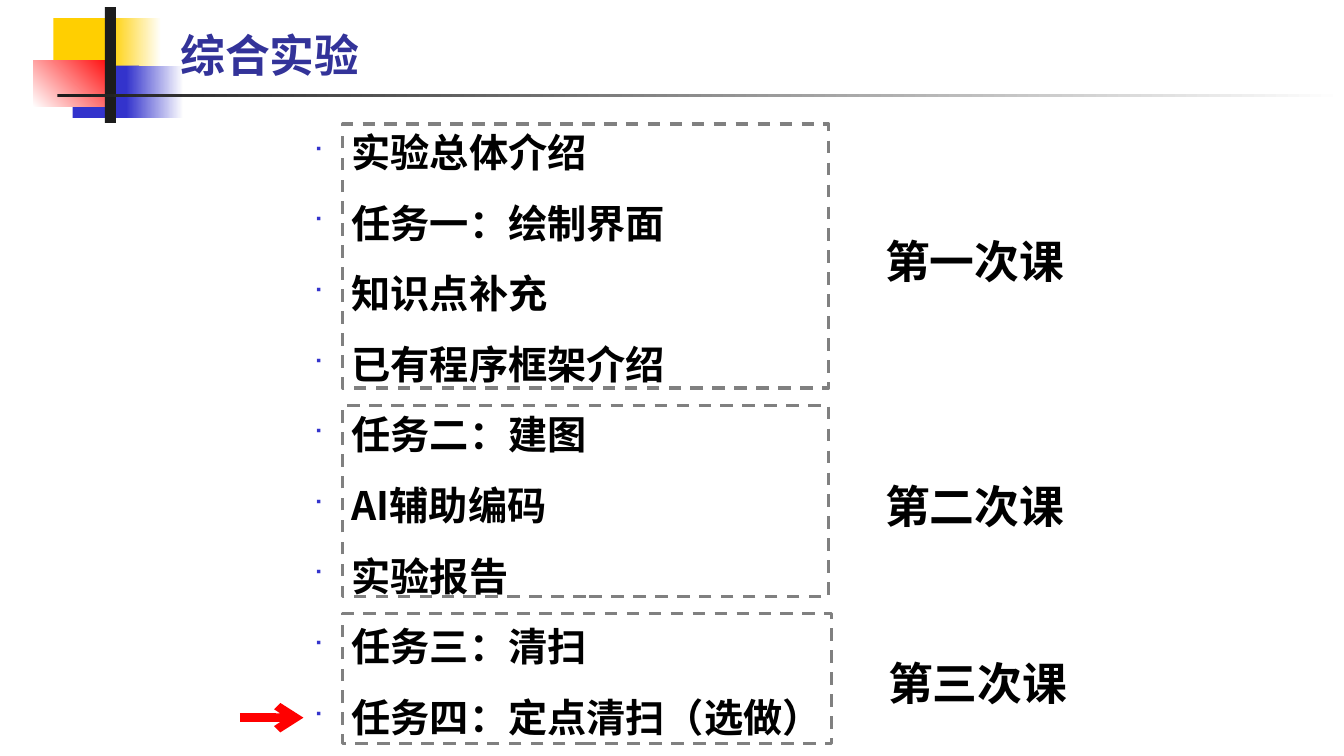
from lxml import etree
from pptx import Presentation
from pptx.dml.color import RGBColor
from pptx.enum.dml import MSO_LINE
from pptx.enum.shapes import MSO_CONNECTOR, MSO_SHAPE
from pptx.enum.text import MSO_ANCHOR
from pptx.oxml.ns import qn
from pptx.util import Inches, Pt

YELLOW, BLUE, RED, BLACK, WHITE = "FFCF01", "3333CC", "FF0000", "1C1C1C", "FFFFFF"
CJK_FONT = "Noto Sans CJK SC"

# left, top, width, height, colours (two make a gradient), gradient angle
ORNAMENT = [
    (0.53, 0.18, 0.68, 0.52, [YELLOW], 0),
    (1.09, 0.18, 0.51, 0.52, [YELLOW, WHITE], 0),
    (0.72, 0.65, 0.66, 0.52, [BLUE], 0),
    (1.25, 0.65, 0.57, 0.52, [BLUE, WHITE], 0),
    (0.33, 0.6, 0.82, 0.46, [WHITE, RED], 45),
    (1.04, 0.07, 0.11, 1.15, [BLACK], 0),
    (0.57, 0.93, 12.76, 0.03, [BLACK, WHITE], 0),
]
TOPICS = [
    "实验总体介绍", "任务一：绘制界面", "知识点补充", "已有程序框架介绍",
    "任务二：建图", "AI辅助编码", "实验报告",
    "任务三：清扫", "任务四：定点清扫（选做）",
]
# label, label left and top, frame top, width and height
LESSONS = [
    ("第一次课", 8.68, 2.27, 1.23, 4.82, 2.62),
    ("第二次课", 8.68, 4.7, 4.02, 4.82, 1.9),
    ("第三次课", 8.71, 6.46, 6.09, 4.85, 1.29),
]


def rgb(value):
    return RGBColor.from_string(value)


def add_rectangle(slide, left, top, width, height):
    rectangle = slide.shapes.add_shape(
        MSO_SHAPE.RECTANGLE, Inches(left), Inches(top), Inches(width), Inches(height))
    rectangle.shadow.inherit = False
    return rectangle


def add_ornament_block(slide, left, top, width, height, colours, angle):
    block = add_rectangle(slide, left, top, width, height)
    block.line.fill.background()
    if len(colours) == 1:
        block.fill.solid()
        block.fill.fore_color.rgb = rgb(colours[0])
        return
    block.fill.gradient()
    block.fill.gradient_angle = angle
    for stop, colour in zip(block.fill.gradient_stops, colours):
        stop.color.rgb = rgb(colour)


def add_dashed_frame(slide, left, top, width, height):
    frame = add_rectangle(slide, left, top, width, height)
    frame.fill.background()
    frame.line.color.rgb = rgb("808080")
    frame.line.width = Pt(2.25)
    frame.line.dash_style = MSO_LINE.DASH


def add_text_frame(slide, left, top, width, height, anchor=MSO_ANCHOR.TOP):
    text_frame = slide.shapes.add_textbox(
        Inches(left), Inches(top), Inches(width), Inches(height)).text_frame
    text_frame.word_wrap = True
    text_frame.vertical_anchor = anchor
    return text_frame


def write(paragraph, text, size, colour="000000", latin=CJK_FONT, cjk=CJK_FONT):
    """Fill a paragraph with bold text, with a font for each script."""
    run = paragraph.add_run()
    run.text = text
    font = paragraph.font
    font.size, font.bold, font.name = Pt(size), True, latin
    font.color.rgb = rgb(colour)
    run.font.name = latin
    etree.SubElement(run.font._element, qn("a:ea"), typeface=cjk)


def add_bullet(paragraph):
    properties = paragraph._p.get_or_add_pPr()
    properties.set("marL", str(Inches(0.38)))
    properties.set("indent", str(-Inches(0.38)))
    colour = etree.SubElement(properties, qn("a:buClr"))
    etree.SubElement(colour, qn("a:srgbClr"), val=BLUE)
    etree.SubElement(properties, qn("a:buSzPct"), val="60000")
    etree.SubElement(properties, qn("a:buFont"), typeface="Wingdings", charset="2")
    etree.SubElement(properties, qn("a:buChar"), char="■")


def add_topics(slide):
    text_frame = add_text_frame(slide, 3.01, 0.99, 6.19, 6.38)
    for index, topic in enumerate(TOPICS):
        paragraph = text_frame.add_paragraph() if index else text_frame.paragraphs[0]
        paragraph.line_spacing = 1.5
        add_bullet(paragraph)
        write(paragraph, topic, 28)


def add_arrow(slide, x1, y1, x2, y2):
    arrow = slide.shapes.add_connector(
        MSO_CONNECTOR.STRAIGHT, Inches(x1), Inches(y1), Inches(x2), Inches(y2))
    arrow.line.color.rgb = rgb(RED)
    arrow.line.width = Pt(6)
    etree.SubElement(arrow.line._get_or_add_ln(), qn("a:tailEnd"), type="arrow")
    etree.SubElement(arrow._element.spPr, qn("a:effectLst"))


def main():
    presentation = Presentation()
    presentation.slide_width, presentation.slide_height = Inches(13.33), Inches(7.5)
    slide = presentation.slides.add_slide(presentation.slide_layouts[6])

    for block in ORNAMENT:
        add_ornament_block(slide, *block)
    title = add_text_frame(slide, 1.69, 0.11, 10.33, 0.75, MSO_ANCHOR.BOTTOM)
    write(title.paragraphs[0], "综合实验", 32, "333399",
          "Noto Sans CJK JP", "Noto Sans CJK JP")
    add_topics(slide)
    add_arrow(slide, 2.38, 7.12, 3.01, 7.12)
    for label, left, top, frame_top, width, height in LESSONS:
        add_dashed_frame(slide, 3.4, frame_top, width, height)
        lesson = add_text_frame(slide, left, top, 2.06, 0.54)
        write(lesson.paragraphs[0], label, 32, latin="Times New Roman")
    presentation.save("out.pptx")


if __name__ == "__main__":
    main()
